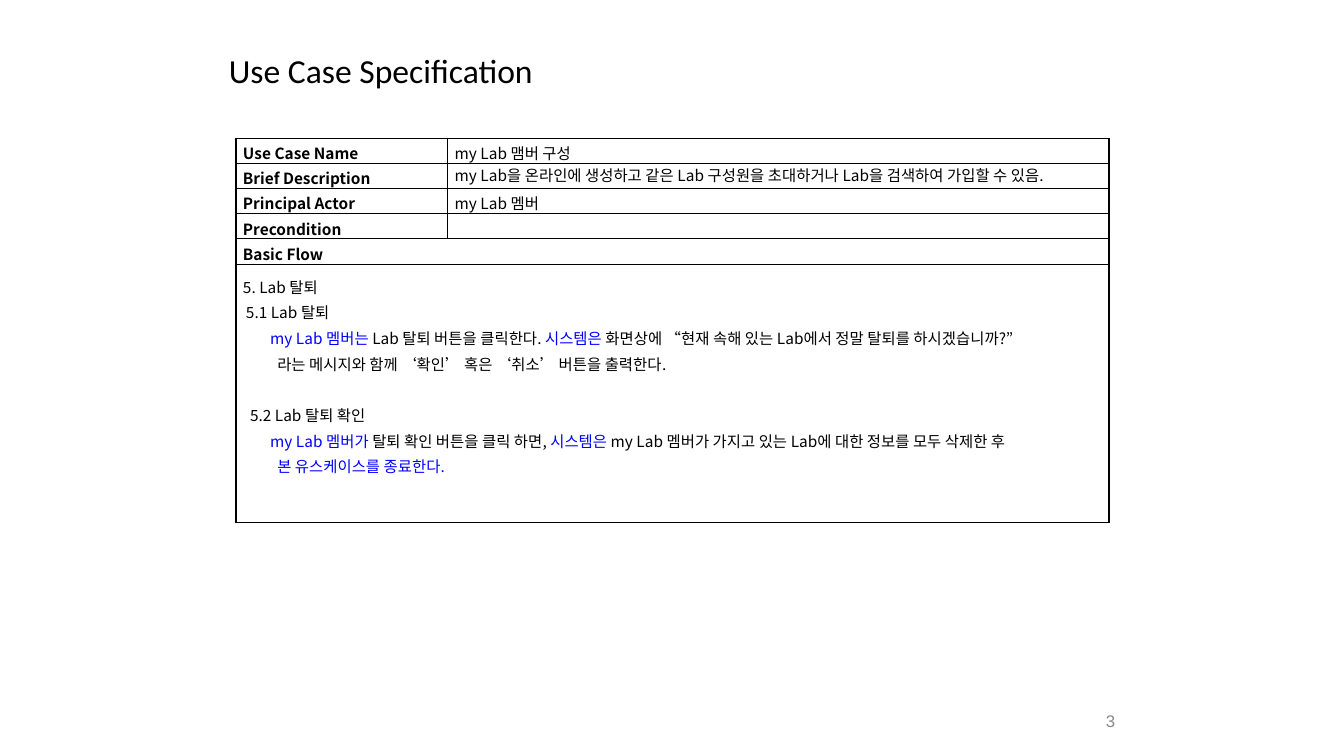
from lxml.etree import SubElement
from pptx import Presentation
from pptx.dml.color import RGBColor
from pptx.enum.text import MSO_ANCHOR as Anchor, PP_ALIGN as Align
from pptx.oxml.ns import qn
from pptx.util import Inches, Pt

BLACK, BLUE, GREY, WHITE = "000000", "0000FF", "898989", "FFFFFF"
KOREAN = "Noto Sans CJK KR"


def rgb(value):
    return RGBColor.from_string(value)


def write(paragraph, text, size=11, font=KOREAN, color=BLACK, bold=False,
          align=Align.JUSTIFY, spacing=1.15, indent=0, before=0):
    """Fill a paragraph; text is a string or a list of (string, colour)."""
    paragraph.alignment = align
    paragraph.line_spacing = spacing
    paragraph.space_before = Pt(before)
    if indent:
        properties = paragraph._p.get_or_add_pPr()
        properties.set("marL", str(Inches(indent)))
        properties.set("indent", "0")
    parts = [(text, color)] if isinstance(text, str) else text
    for words, shade in parts:
        if not words:  # an empty cell still needs its text size
            SubElement(paragraph._p, qn("a:endParaRPr"), sz=str(size * 100))
            continue
        run = paragraph.add_run()
        run.text = words
        run.font.size, run.font.name, run.font.bold = Pt(size), font, bold
        run.font.color.rgb = rgb(shade)
        SubElement(run._r.get_or_add_rPr(), qn("a:ea"), typeface=font)


class SlideBuilder:
    def __init__(self, deck, border=BLACK, fill=WHITE):
        self.slide = deck.slides.add_slide(deck.slide_layouts[5])
        self.border, self.fill = border, fill

    def title(self, text, left, top, width, height):
        heading = self.slide.shapes.title
        heading.left, heading.top = Inches(left), Inches(top)
        heading.width, heading.height = Inches(width), Inches(height)
        heading.text_frame.vertical_anchor = Anchor.MIDDLE
        write(heading.text_frame.paragraphs[0], text, size=24, font="Calibri",
              align=Align.LEFT, spacing=0.9)

    def label(self, text, left, top, width, height, **style):
        box = self.slide.shapes.add_textbox(
            Inches(left), Inches(top), Inches(width), Inches(height))
        box.text_frame.word_wrap = True
        box.text_frame.vertical_anchor = Anchor.MIDDLE
        write(box.text_frame.paragraphs[0], text, **style)

    def table(self, left, top, widths, heights):
        table = self.slide.shapes.add_table(
            len(heights), len(widths), Inches(left), Inches(top),
            Inches(sum(widths)), Inches(sum(heights))).table
        table.first_row = table.horz_banding = False
        for column, width in zip(table.columns, widths):
            column.width = Inches(width)
        for row, height in zip(table.rows, heights):
            row.height = Inches(height)
        for cell in table.iter_cells():
            self.style_cell(cell)
        return table

    def style_cell(self, cell):
        cell.margin_left = cell.margin_right = Inches(0.07)
        cell.margin_top = cell.margin_bottom = 0
        properties = cell._tc.get_or_add_tcPr()
        for side in ("lnL", "lnR", "lnT", "lnB"):
            line = SubElement(properties, qn(f"a:{side}"), w=str(Pt(1)))
            paint = SubElement(line, qn("a:solidFill"))
            SubElement(paint, qn("a:srgbClr"), val=self.border)
        cell.fill.solid()
        cell.fill.fore_color.rgb = rgb(self.fill)

    def fill_cell(self, cell, lines):
        """Write one paragraph for each (text, style) pair."""
        frame = cell.text_frame
        for number, (text, style) in enumerate(lines):
            write(frame.add_paragraph() if number else frame.paragraphs[0],
                  text, **style)


deck = Presentation()
deck.slide_width, deck.slide_height = Inches(13.33), Inches(7.5)
page = SlideBuilder(deck)

# Heading and page number
page.title("Use Case Specification", 2.17, 0.3, 9, 0.85)
page.label("3", 8.83, 6.95, 2.33, 0.4, size=12, font="Arial", color=GREY,
           align=Align.RIGHT, spacing=1.0)

# Use case summary
plain = {"align": Align.LEFT, "spacing": 1.0}
summary = [
    ("Use Case Name", "my Lab 맴버 구성", {}),
    ("Brief Description",
     "my Lab을 온라인에 생성하고 같은 Lab 구성원을 초대하거나 Lab을 검색하여 가입할 수 있음.",
     plain),
    ("Principal Actor", "my Lab 멤버", {}),
    ("Precondition", "", {}),
]
use_case = page.table(2.34, 1.37, [2.1, 6.56], [0.25] * 5 + [2.56])
for row, (field, value, style) in enumerate(summary):
    page.fill_cell(use_case.cell(row, 0), [(field, {"bold": True})])
    page.fill_cell(use_case.cell(row, 1), [(value, style)])

# Basic flow, across both columns
for row in (4, 5):
    use_case.cell(row, 0).merge(use_case.cell(row, 1))
page.fill_cell(use_case.cell(4, 0), [("Basic Flow", {"bold": True})])

step, continued = {"indent": 0.27}, {"indent": 0.34}
page.fill_cell(use_case.cell(5, 0), [
    ("5. Lab 탈퇴", {"spacing": 1.5}),
    ("5.1 Lab 탈퇴", {"indent": 0.03}),
    ([("my Lab 멤버는 ", BLUE), ("Lab 탈퇴 버튼을 클릭한다. ", BLACK),
      ("시스템은", BLUE),
      (" 화면상에 “현재 속해 있는 Lab에서 정말 탈퇴를 하시겠습니까?”", BLACK)], step),
    ("라는 메시지와 함께 ‘확인’ 혹은 ‘취소’ 버튼을 출력한다.", continued),
    ("5.2 Lab 탈퇴 확인", {"indent": 0.07, "before": 18.3}),
    ([("my Lab 멤버가 ", BLUE), ("탈퇴 확인 버튼을 클릭 하면, ", BLACK),
      ("시스템은 ", BLUE),
      ("my Lab 멤버가 가지고 있는 Lab에 대한 정보를 모두 삭제한 후", BLACK)], step),
    ("본 유스케이스를 종료한다.", {**continued, "color": BLUE}),
])

deck.save("out.pptx")
